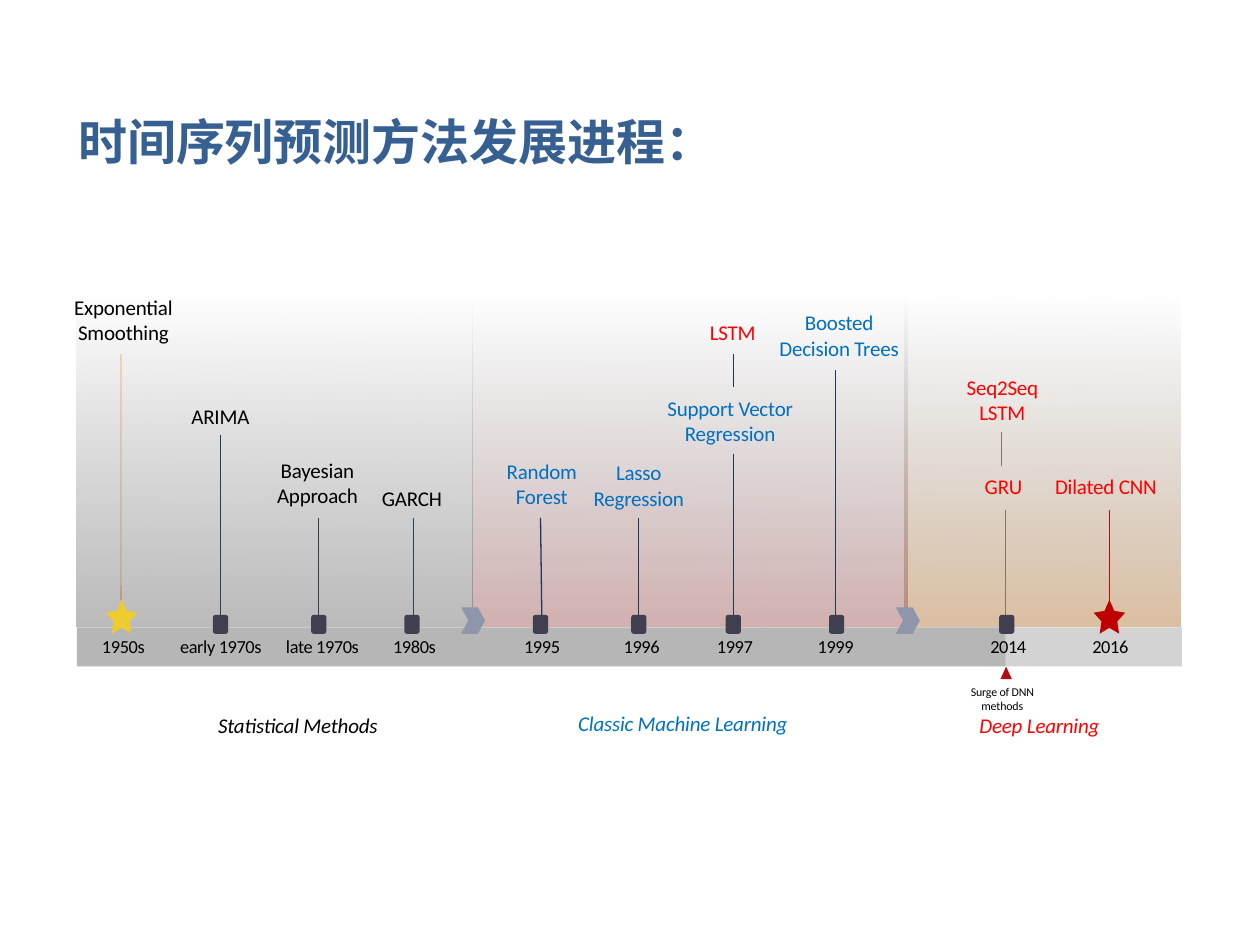
"""Build a timeline slide on the development of time series forecasting methods."""
import dataclasses

import pptx
import pptx.dml.color
import pptx.enum.shapes
import pptx.enum.text
import pptx.oxml
import pptx.oxml.ns
import pptx.util


@dataclasses.dataclass(frozen=True)
class Theme:
    latin: str = "Calibri"
    chinese: str = "Noto Sans CJK SC"
    title: str = "376092"
    black: str = "000000"
    blue: str = "0070C0"
    red: str = "FF0000"
    gray: str = "737373"
    orange: str = "E4801C"
    rose: str = "C0504D"
    bar: str = "D4D3D3"
    marker: str = "403F50"
    chevron: str = "8F96AB"
    gold: str = "EECC2D"
    crimson: str = "C00000"
    surge: str = "B20E12"
    navy_stem: str = "1C385D"
    taupe_stem: str = "877563"
    amber_stem: str = "F3A447"
    title_size: float = 28
    label_size: float = 12
    year_size: float = 10.5
    note_size: float = 6.8


theme = Theme()
rgb = pptx.dml.color.RGBColor.from_string
kinds = pptx.enum.shapes.MSO_SHAPE
align = pptx.enum.text.PP_ALIGN
namespace = pptx.oxml.ns.nsdecls("a")

presentation = pptx.Presentation()
presentation.slide_width = pptx.util.Inches(10)
presentation.slide_height = pptx.util.Inches(7.5)
slide = presentation.slides.add_slide(presentation.slide_layouts[6])
cell = presentation.slide_width / 100


def add_shape(kind, left, top, width, height, color):
    shape = slide.shapes.add_shape(kind, *(round(n * cell) for n in (left, top, width, height)))
    shape.shadow.inherit = False
    shape.line.fill.background()
    shape.fill.solid()
    shape.fill.fore_color.rgb = rgb(color)
    return shape


def add_text(text, left, top, width, height, size, color, alignment=align.CENTER,
             wrap=True, spacing=-10, italic=None):
    box = slide.shapes.add_textbox(*(round(n * cell) for n in (left, top, width, height)))
    frame = box.text_frame
    frame.margin_left = frame.margin_right = frame.margin_top = frame.margin_bottom = 0
    frame.word_wrap = wrap
    frame.vertical_anchor = pptx.enum.text.MSO_ANCHOR.MIDDLE
    frame.text = text
    for paragraph in frame.paragraphs:
        paragraph.alignment = alignment
        paragraph.font.name = theme.latin
        paragraph.font.size = pptx.util.Pt(size)
        paragraph.font.italic = italic
        paragraph.font.color.rgb = rgb(color)
        paragraph._p.pPr.defRPr.set("spc", str(spacing))
    return box


axis_top, axis_height = 49.8, 3.1
panel_top, panel_height = 23.3, 26.4
eras = [
    (71.8, 21.9, theme.orange),
    (37.5, 34.5, theme.rose),
    (6.1, 31.4, theme.gray),
]
panels = []
translucent = []
for left, width, color in eras:
    panel = add_shape(kinds.RECTANGLE, left, panel_top, width, panel_height, color)
    panel.fill.gradient()
    panel.fill.gradient_angle = 270
    for stop, position, tint, opacity in zip(
            panel.fill.gradient_stops, (0, 1), (theme.gray, color), (0, 30)):
        stop.position = position
        stop.color.rgb = rgb(tint)
        translucent.append((stop._gs, opacity))
    panel._element.spPr.find(pptx.oxml.ns.qn("a:effectLst")).append(pptx.oxml.parse_xml(
        f'<a:outerShdw {namespace} blurRad="0" dist="0" dir="0" rotWithShape="0">'
        f'<a:srgbClr val="{theme.black}"><a:alpha val="50000"/></a:srgbClr></a:outerShdw>'))
    panels.append(panel)

stems = [
    (88.05, 40.5, 88.05, 49.3, theme.surge),
    (79.5, 34.3, 79.5, 37, theme.taupe_stem),
    (79.8, 40.5, 79.8, 49.3, theme.taupe_stem),
    (66.3, 29.4, 66.3, 49.6, theme.navy_stem),
    (58.2, 36, 58.2, 49.6, theme.navy_stem),
    (58.2, 28.1, 58.2, 30.7, theme.navy_stem),
    (50.7, 41.1, 50.7, 49.6, theme.navy_stem),
    (43, 46.5, 43, 49.6, theme.navy_stem),
    (42.9, 41.1, 43, 48.8, theme.navy_stem),
    (32.8, 41.1, 32.8, 49.6, theme.navy_stem),
    (25.3, 46.5, 25.3, 49.6, theme.navy_stem),
    (25.3, 41.1, 25.3, 47.6, theme.navy_stem),
    (17.5, 34.5, 17.5, 49.6, theme.navy_stem),
    (9.6, 46.5, 9.6, 48.9, theme.amber_stem),
    (9.6, 28.1, 9.6, 47.6, theme.amber_stem),
]
for *ends, color in stems:
    stem = slide.shapes.add_connector(
        pptx.enum.shapes.MSO_CONNECTOR.STRAIGHT, *(round(n * cell) for n in ends))
    stem.line.width = pptx.util.Pt(0.75)
    stem.line.color.rgb = rgb(color)
    if color == theme.amber_stem:
        translucent.append((stem._element.spPr, 50))
    stem._element.spPr.append(pptx.oxml.parse_xml(f'<a:effectLst {namespace}/>'))

slide.shapes._spTree.append(panels[-1]._element)
add_shape(kinds.RECTANGLE, 6.1, axis_top, 87.7, axis_height, theme.bar)
past = add_shape(kinds.RECTANGLE, 6.1, axis_top, 73.7, axis_height, theme.gray)
translucent.append((past._element.spPr, 30))
for parent, opacity in translucent:
    for element in parent.iter(pptx.oxml.ns.qn("a:srgbClr")):
        element.append(pptx.oxml.parse_xml(f'<a:alpha {namespace} val="{opacity * 1000}"/>'))

add_shape(kinds.ISOSCELES_TRIANGLE, 79.4, 52.9, 0.9, 1, theme.surge)
add_text("Surge of DNN \nmethods", 77, 54.3, 5.1, 2.3, theme.note_size, theme.black, wrap=False)

years = [
    ("1950s", 8.1), ("early 1970s", 14.3), ("late 1970s", 22.7), ("1980s", 31.2),
    ("1995", 41.6), ("1996", 49.5), ("1997", 56.9), ("1999", 64.9), ("2014", 78.6), ("2016", 86.7),
]
for year, left in years:
    add_text(year, left, 50.4, 7, 1.8, theme.year_size, theme.black, align.LEFT, False, -20)

for left in (16.9, 24.7, 32.1, 42.3, 50.1, 57.6, 65.8, 79.3):
    add_shape(kinds.ROUNDED_RECTANGLE, left, 48.8, 1.2, 1.5, theme.marker)
for left in (36.6, 71.1):
    chevron = add_shape(kinds.CHEVRON, left, 48.2, 1.9, 2.1, theme.chevron)
    chevron.adjustments[0] = 0.3
for left, color in ((8.4, theme.gold), (86.8, theme.crimson)):
    star = add_shape(kinds.STAR_5_POINT, left, 47.6, 2.5, 2.7, color)
    star.adjustments[0] = 0.25

methods = [
    ("Exponential\nSmoothing", 5.8, 24.4, 8, theme.black),
    ("ARIMA", 13.5, 32, 8, theme.black),
    ("Bayesian\nApproach", 21.2, 37.3, 8, theme.black),
    ("GARCH", 28.7, 38.5, 8, theme.black),
    ("Random Forest", 39, 37.4, 8, theme.blue),
    ("Lasso\nRegression", 46.7, 37.5, 8, theme.blue),
    ("LSTM", 53.7, 25.4, 8.9, theme.red),
    ("Support Vector Regression", 52.3, 32.4, 11.3, theme.blue),
    ("Boosted Decision Trees", 61.8, 25.6, 9.6, theme.blue),
    ("Seq2Seq LSTM", 75.1, 30.7, 8.9, theme.red),
    ("GRU", 75.2, 37.6, 8.9, theme.red),
    ("Dilated CNN ", 83.5, 37.6, 8.9, theme.red),
]
for name, left, top, width, color in methods:
    add_text(name, left, top, width, 2, theme.label_size, color)

families = [
    ("Statistical Methods", 16.5, 56.6, 14.3, 1.9, theme.black),
    ("Classic Machine Learning", 44.5, 56.7, 19.4, 1.4, theme.blue),
    ("Deep Learning", 72.8, 56.8, 19.4, 1.5, theme.red),
]
for name, left, top, width, height, color in families:
    add_text(name, left, top, width, height, theme.label_size, color, italic=True)

title = add_text("时间序列预测方法发展进程：", 4.9, 5.5, 49.2, 8.5, theme.title_size, theme.title, spacing=0)
title.text_frame.margin_left = title.text_frame.margin_right = round(cell)
title.text_frame.margin_top = title.text_frame.margin_bottom = round(cell / 2)
heading = title.text_frame.paragraphs[0]
heading.line_spacing = 1.6
heading.font.bold = True
heading.font.name = theme.chinese
heading._p.pPr.defRPr.append(pptx.oxml.parse_xml(
    f'<a:ea {namespace} typeface="{theme.chinese}"/>'))

presentation.save("out.pptx")
